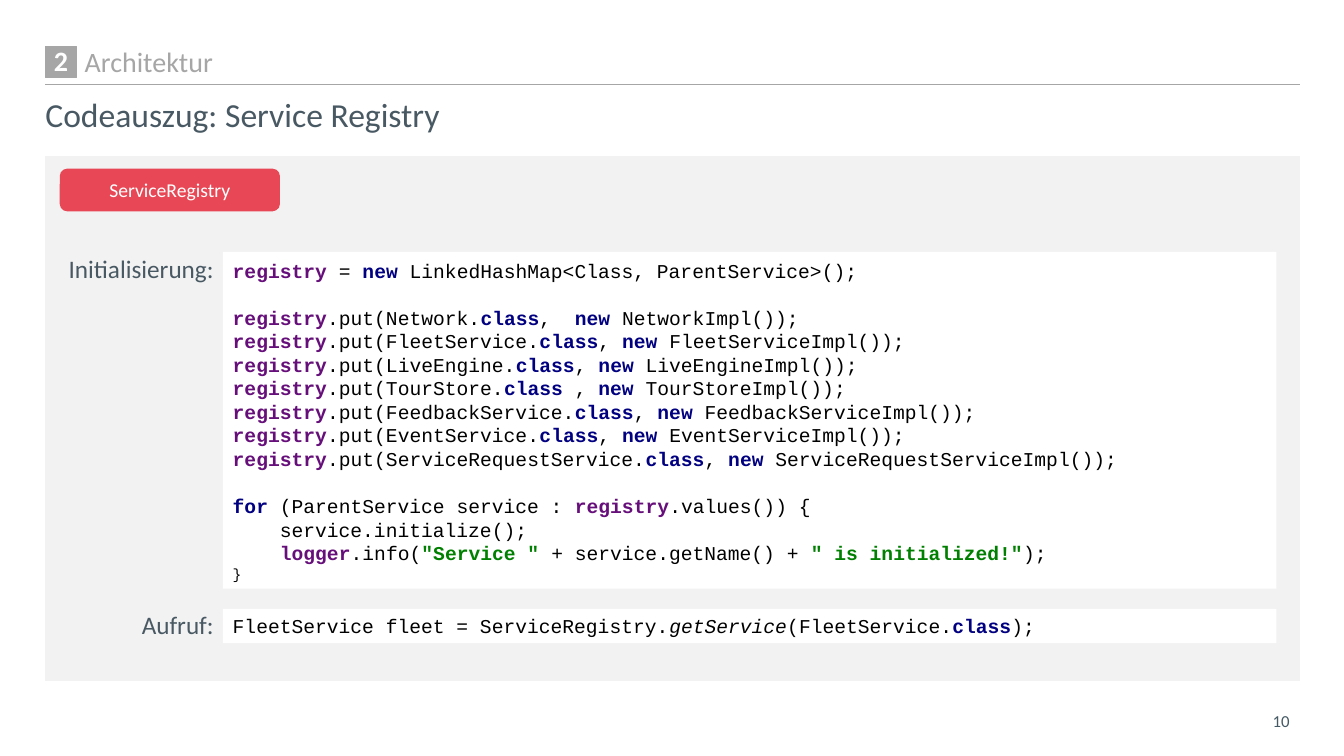
"""Build the slide on the service registry code."""
import dataclasses
import typing

import pptx
import pptx.dml.color
import pptx.enum.shapes
import pptx.enum.text
import pptx.oxml
import pptx.oxml.ns
import pptx.slide
import pptx.util

COL = ROW = pptx.util.Inches(0.1)
SLATE, GREY, PALE, WHITE, BLACK = "495963", "A6A6A6", "F2F2F2", "FFFFFF", "000000"
SHAPE = pptx.enum.shapes.MSO_SHAPE
ALIGN = pptx.enum.text.PP_ALIGN
ANCHOR = pptx.enum.text.MSO_ANCHOR
EDGE = 4.5
WIDE = 124.4
CODE_X, CODE_W = 22.1, 104.5
LABEL_W = 16.7
GAP = 16.8

MARKS: dict[str, dict[str, typing.Any]] = {
    "~": {"color": "660E7A", "bold": True},
    "^": {"color": "000080", "bold": True},
    "@": {"color": "008000", "bold": True},
    "_": {"italic": True},
    "!": {"size": 10.5},
}
SERVICES = (
    ("Network", "^class|,  "),
    ("FleetService", "^class|, "),
    ("LiveEngine", "^class|, "),
    ("TourStore", "^class |, "),
    ("FeedbackService", "^class|, "),
    ("EventService", "^class|, "),
    ("ServiceRequestService", "^class|, "),
)
SETUP = [
    "~registry |= |^new |LinkedHashMap<Class, ParentService>();",
    *(f"~registry|.put({name}.|{link}|^new |{name}Impl());" for name, link in SERVICES),
    "^for |(ParentService service : |~registry|.values()) {",
    "    service.initialize();",
    '    |~logger|.info(|@"Service " |+ service.getName() + |@" is initialized!"|);',
    "!}",
]
CALL = ["FleetService fleet = ServiceRegistry.|_getService|(FleetService.|^class|);"]


@dataclasses.dataclass
class Block:
    """A box on the grid with its fill, line and text."""
    x: float
    y: float
    w: float
    h: float
    lines: list[str] = dataclasses.field(default_factory=list)
    kind: typing.Any = None
    fill: str = ""
    line: str = ""
    form: dict[str, typing.Any] = dataclasses.field(default_factory=dict)


def tint(code: str) -> pptx.dml.color.RGBColor:
    """Turn a hex string into a colour."""
    return pptx.dml.color.RGBColor.from_string(code)


def write(frame: typing.Any, lines: list[str], *, size: float = 14, color: str = BLACK,
          bold: bool = False, font: str = "Calibri", align: typing.Any = ALIGN.LEFT,
          anchor: typing.Any = ANCHOR.TOP, left: float = 1, right: float = 1,
          edge: float = 0.5, lead: float = 1, gaps: tuple[int, ...] = ()) -> None:
    """Write marked lines into a frame, with a gap before the given lines."""
    frame.word_wrap = True
    frame.vertical_anchor = anchor
    frame.margin_left, frame.margin_right = int(left * COL), int(right * COL)
    frame.margin_top = frame.margin_bottom = int(edge * ROW)
    for index, line in enumerate(lines):
        para = frame.add_paragraph() if index else frame.paragraphs[0]
        para.alignment, para.line_spacing = align, lead
        if index in gaps:
            para.space_before = pptx.util.Pt(GAP)
        for part in line.split("|"):
            look = {"color": color, "bold": bold, "size": size, "italic": False}
            look |= MARKS.get(part[0], {})
            run = para.add_run()
            run.text = part[1:] if part[0] in MARKS else part
            run.font.name, run.font.size = font, pptx.util.Pt(look["size"])
            run.font.bold, run.font.italic = look["bold"], look["italic"]
            run.font.color.rgb = tint(look["color"])


def draw(slide: pptx.slide.Slide, block: Block) -> None:
    """Draw one block as a shape or a text box."""
    place = [int(n * unit) for n, unit in
             zip((block.x, block.y, block.w, block.h), (COL, ROW, COL, ROW))]
    if block.kind is None:
        shape = slide.shapes.add_textbox(*place)
    else:
        shape = slide.shapes.add_shape(block.kind, *place)
        shape.shadow.inherit = False
        shape.fill.solid()
        shape.fill.fore_color.rgb = tint(block.fill)
        if block.line:
            shape.line.color.rgb = tint(block.line)
            shape.line.width = pptx.util.Pt(1)
        else:
            shape.line.fill.background()
    if block.lines:
        write(shape.text_frame, block.lines, **block.form)


def rule(slide: pptx.slide.Slide, x: float, y: float, w: float) -> None:
    """Draw the thin line under the chapter name."""
    line = slide.shapes.add_connector(
        pptx.enum.shapes.MSO_CONNECTOR.STRAIGHT,
        int(x * COL), int(y * ROW), int((x + w) * COL), int(y * ROW))
    line.line.color.rgb = tint(GREY)
    line.line.width = pptx.util.Pt(0.75)
    line._element.spPr.append(pptx.oxml.parse_xml(
        f"<a:effectLst {pptx.oxml.ns.nsdecls('a')}/>"))


def main() -> None:
    """Build and save the slide."""
    deck = pptx.Presentation()
    deck.slide_width, deck.slide_height = pptx.util.Inches(13.33), pptx.util.Inches(7.5)
    slide = deck.slides.add_slide(deck.slide_layouts[6])
    mid = {"anchor": ANCHOR.MIDDLE}
    flat = {"left": 0, "right": 0}
    label = {**flat, "size": 18, "color": SLATE, "align": ALIGN.RIGHT}
    code = {**mid, "font": "Courier New"}
    badge = {**mid, "color": WHITE, "align": ALIGN.CENTER}
    rule(slide, EDGE, 8.4, WIDE)
    for block in (
        Block(EDGE, 15.5, WIDE, 52, kind=SHAPE.RECTANGLE, fill=PALE, line=PALE),
        Block(98.9, 69.5, 30, 4, ["10"],
              form={**mid, "size": 12, "color": "455A64", "align": ALIGN.RIGHT}),
        Block(EDGE, 9.3, WIDE, 4.6, ["Codeauszug: Service Registry"],
              form={**flat, "size": 24, "color": SLATE, "lead": 0.9}),
        Block(EDGE, 4.2, WIDE, 4.2, ["Architektur"],
              form={**mid, "left": 3.9, "right": 0, "size": 20, "color": GREY, "lead": 0.9}),
        Block(EDGE, 4.6, 3.1, 3.1, ["2"], SHAPE.RECTANGLE, GREY, GREY,
              {**badge, **flat, "edge": 0, "size": 20, "bold": True, "lead": 0.9}),
        Block(6, 16.8, 21.7, 4.1, ["ServiceRegistry"], SHAPE.ROUNDED_RECTANGLE,
              "E84855", "E84855", badge),
        Block(CODE_X, 25, CODE_W, 33.4, SETUP, SHAPE.RECTANGLE, WHITE,
              form={**code, "gaps": (1, len(SERVICES) + 1)}),
        Block(EDGE, 24.6, LABEL_W, 3.7, ["Initialisierung:"], form=label),
        Block(EDGE, 60, LABEL_W, 3.7, ["Aufruf:"], form=label),
        Block(CODE_X, 60.4, CODE_W, 3.4, CALL, SHAPE.RECTANGLE, WHITE, form=code),
    ):
        draw(slide, block)
    deck.save("out.pptx")


if __name__ == "__main__":
    main()
